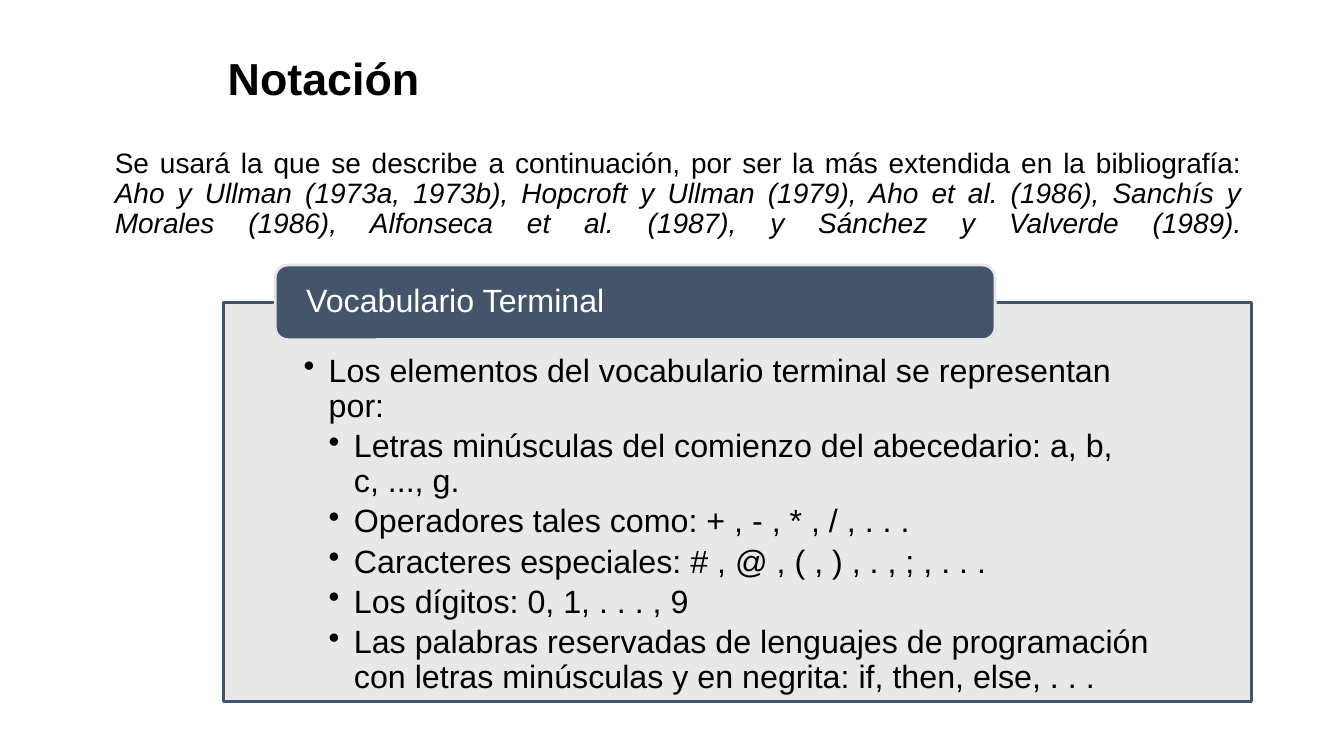
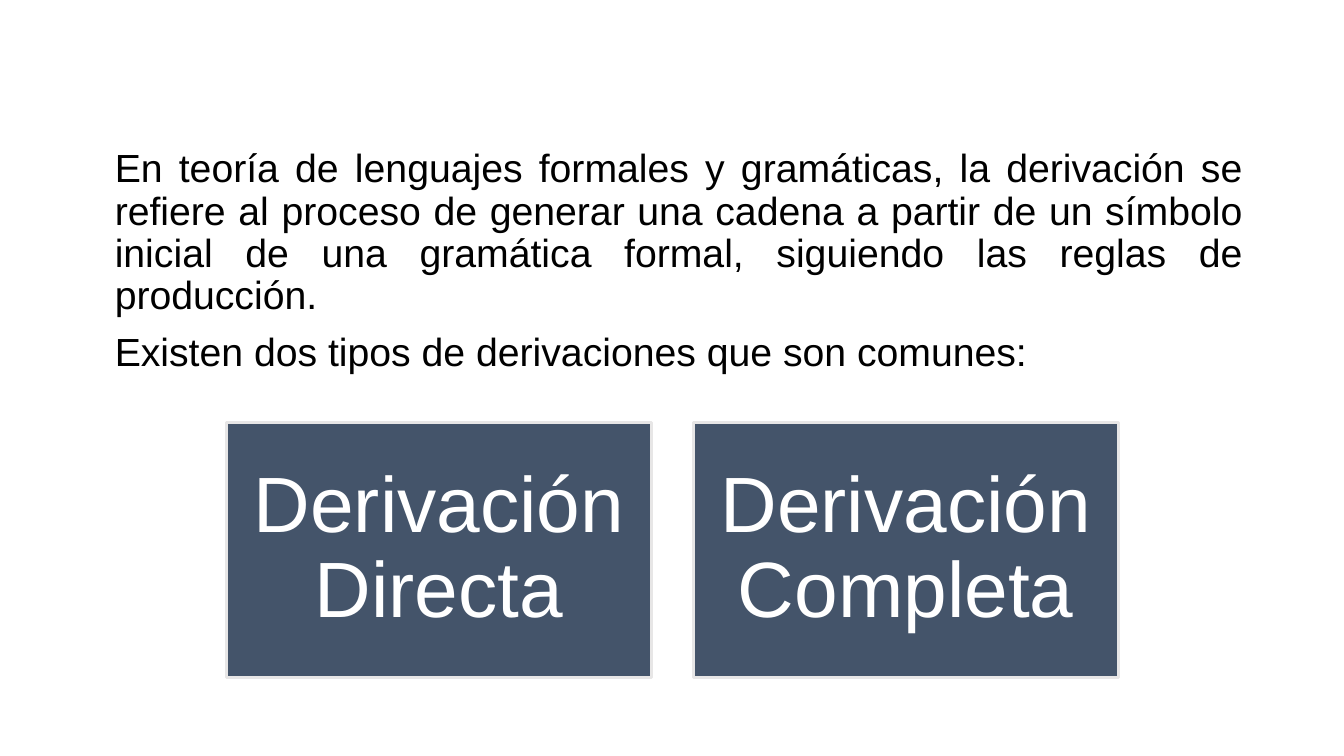
import pptx
import pptx.dml.color
import pptx.enum.shapes
import pptx.enum.text
import pptx.oxml
import pptx.oxml.ns
import pptx.util

Inches = pptx.util.Inches
Pt = pptx.util.Pt
RGBColor = pptx.dml.color.RGBColor
Alignment = pptx.enum.text.PP_ALIGN
Anchor = pptx.enum.text.MSO_ANCHOR
Preset = pptx.enum.shapes.MSO_SHAPE

BLACK = RGBColor(0x00, 0x00, 0x00)
WHITE = RGBColor(0xFF, 0xFF, 0xFF)
SLATE = RGBColor(0x44, 0x54, 0x6A)
LIGHT_GRAY = RGBColor(0xE7, 0xE6, 0xE6)
FONT = "Arial"
BODY_AREA = (0.92, 1.43, 11.5, 5.33)
TITLE_AREA = (2.16, 0.4, 10.26, 0.81)
TEXT_INSETS = (0.1, 0.05, 0.1, 0.05)


def add_box(slide, area, insets, anchor=Anchor.TOP, preset=None, fill=None, line=None):
    position = [Inches(length) for length in area]
    if preset is None:
        shape = slide.shapes.add_textbox(*position)
    else:
        shape = slide.shapes.add_shape(preset, *position)
        shape.shadow.inherit = False
        shape.fill.solid()
        shape.fill.fore_color.rgb = fill
        shape.line.color.rgb = line
        shape.line.width = Pt(2)
    frame_format = {"word_wrap": True, "vertical_anchor": anchor}
    for side, inset in zip(("left", "top", "right", "bottom"), insets):
        frame_format[f"margin_{side}"] = Inches(inset)
    for name, value in frame_format.items():
        setattr(shape.text_frame, name, value)
    return shape


def add_paragraph(shape, text, size, color, bold=False, alignment=Alignment.LEFT,
                  left=0, hanging=0, before=0, after=0):
    frame = shape.text_frame
    first = not frame.paragraphs[0].runs
    paragraph = frame.paragraphs[0] if first else frame.add_paragraph()
    paragraph_format = {
        "alignment": alignment,
        "line_spacing": 0.9,
        "space_before": Pt(0 if first else before),
        "space_after": Pt(after),
    }
    for name, value in paragraph_format.items():
        setattr(paragraph, name, value)
    properties = paragraph._p.get_or_add_pPr()
    properties.set("marL", str(Inches(left)))
    properties.set("indent", str(-Inches(hanging)))
    if hanging:
        bullet = pptx.oxml.parse_xml(
            f'<a:buChar {pptx.oxml.ns.nsdecls("a")} char="•"/>')
        properties.append(bullet)
    font_format = {"name": FONT, "size": Pt(size), "bold": bold}
    for name, value in font_format.items():
        setattr(paragraph.font, name, value)
    paragraph.font.color.rgb = color
    paragraph.add_run().text = text
    return paragraph


presentation = pptx.Presentation()
presentation.slide_width = Inches(13.33)
presentation.slide_height = Inches(7.5)
blank_layout = presentation.slide_layouts[6]
body_style = {"color": BLACK, "alignment": Alignment.JUSTIFY, "left": 0.12, "before": 10}

slide = presentation.slides.add_slide(blank_layout)

introduction = add_box(slide, BODY_AREA, TEXT_INSETS)
paragraph = add_paragraph(
    introduction,
    "Se usará la que se describe a continuación, por ser la más extendida en la bibliografía: ",
    20, **body_style)
citations = paragraph.add_run()
citations.text = (
    "Aho y Ullman (1973a, 1973b), Hopcroft y Ullman (1979), Aho et al. (1986), "
    "Sanchís y Morales (1986), Alfonseca et al. (1987), y Sánchez y Valverde (1989).")
citations.font.italic = True
paragraph.add_line_break()

title = add_box(slide, TITLE_AREA, TEXT_INSETS, Anchor.MIDDLE)
add_paragraph(title, "Notación", 32, BLACK, bold=True)

panel = add_box(slide, (2.22, 3, 10.19, 3.96), (0.79, 0.52, 0.79, 0.18),
                preset=Preset.RECTANGLE, fill=LIGHT_GRAY, line=SLATE)
panel_color = panel.fill._xPr.find(".//" + pptx.oxml.ns.qn("a:srgbClr"))
panel_color.append(pptx.oxml.parse_xml(
    f'<a:alpha {pptx.oxml.ns.nsdecls("a")} val="90000"/>'))
terminal_items = [
    (1, "Los elementos del vocabulario terminal se representan por:"),
    (2, "Letras minúsculas del comienzo del abecedario: a, b, c, ..., g."),
    (2, "Operadores tales como: + , - , * , / , . . ."),
    (2, "Caracteres especiales: # , @ , ( , ) , . , ; , . . ."),
    (2, "Los dígitos: 0, 1, . . . , 9"),
    (2, "Las palabras reservadas de lenguajes de programación con letras minúsculas "
        "y en negrita: if, then, else, . . ."),
]
for level, text in terminal_items:
    add_paragraph(panel, text, 23, BLACK, left=0.25 * level, hanging=0.25, after=4)

heading = add_box(slide, (2.73, 2.63, 7.14, 0.74), (0.27, 0, 0.27, 0), Anchor.MIDDLE,
                  Preset.ROUNDED_RECTANGLE, SLATE, LIGHT_GRAY)
add_paragraph(heading, "Vocabulario Terminal", 23, WHITE)

slide = presentation.slides.add_slide(blank_layout)

definition = add_box(slide, BODY_AREA, TEXT_INSETS)
for text in (
    "En teoría de lenguajes formales y gramáticas, la derivación se refiere al proceso "
    "de generar una cadena a partir de un símbolo inicial de una gramática formal, "
    "siguiendo las reglas de producción.",
    "Existen dos tipos de derivaciones que son comunes:",
):
    add_paragraph(definition, text, 28, **body_style)

card_width, card_gap = 4.21, 0.42
for index, text in enumerate(("Derivación Directa", "Derivación Completa")):
    card_left = 2.25 + index * (card_width + card_gap)
    card = add_box(slide, (card_left, 4.19, card_width, 2.53), (0.23,) * 4, Anchor.MIDDLE,
                   Preset.RECTANGLE, SLATE, LIGHT_GRAY)
    add_paragraph(card, text, 56, WHITE, alignment=Alignment.CENTER)

presentation.save("out.pptx")
